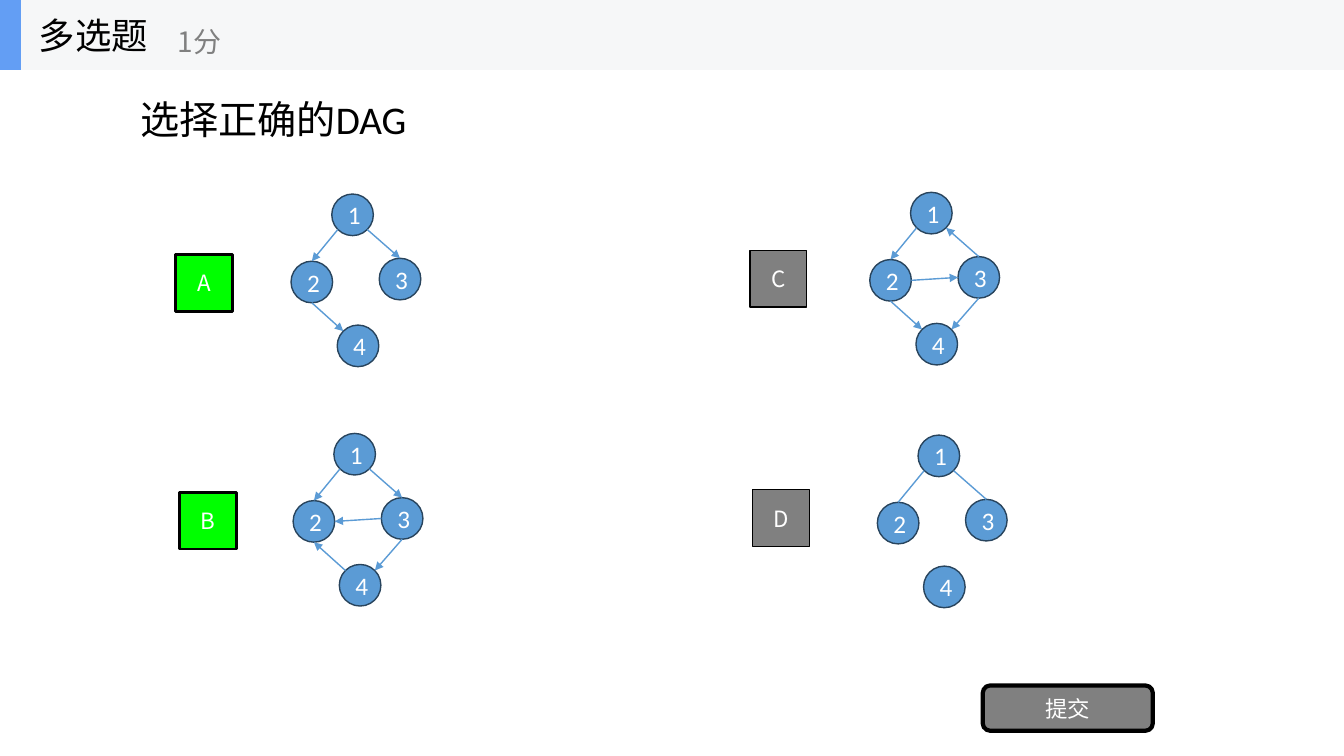
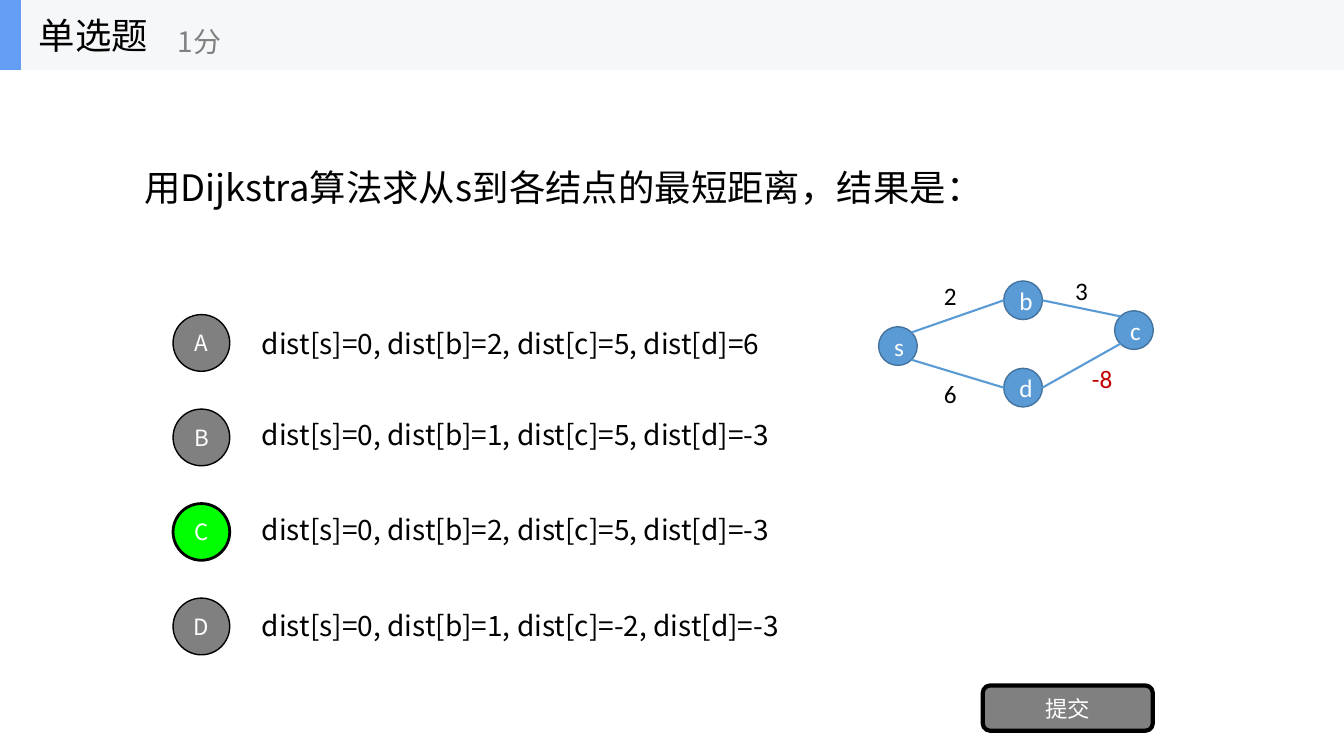
from lxml.etree import SubElement
from pptx import Presentation
from pptx.dml.color import RGBColor
from pptx.enum.shapes import MSO_CONNECTOR as Link, MSO_SHAPE as Shape
from pptx.enum.text import MSO_ANCHOR as Anchor, MSO_AUTO_SIZE as AutoSize, PP_ALIGN as Align
from pptx.oxml.ns import qn
from pptx.util import Inches, Pt

SANS, LATIN = "Noto Sans CJK SC", "Calibri"
BLACK, WHITE, GREY, GREEN, RED = "000000", "FFFFFF", "808080", "00FF00", "C00000"
BLUE, BAND, ACCENT = "5B9BD5", "F6F7F8", "639EF4"
BADGE, BAND_ROWS = 6.75, 8.33

deck = Presentation()
deck.slide_height = Inches(7.5)
cell = deck.slide_height / 90
deck.slide_width = int(cell * 160)
layout = deck.slide_layouts[5]


def ink(target, colour):
    if hasattr(target, "solid"):
        target.solid()
        target = target.fore_color
    target.rgb = RGBColor.from_string(colour)


def place(slide, kind, box, text="", size=16, colour=WHITE, font=SANS,
          fill=None, outline=None, weight=1, anchor=Anchor.MIDDLE, wrap=True):
    left, top, width, height = (int(cell * n) for n in box)
    if kind == "title":
        part = slide.shapes.title
        part.left, part.top, part.width, part.height = left, top, width, height
    elif kind == "text":
        part = slide.shapes.add_textbox(left, top, width, height)
    else:
        part = slide.shapes.add_shape(kind, left, top, width, height)
        part.shadow.inherit = False
        ink(part.fill, fill)
        if outline:
            ink(part.line.color, outline)
            part.line.width = Pt(weight)
        else:
            part.line.fill.background()
    if text:
        frame = part.text_frame
        frame.text = text
        frame.auto_size = AutoSize.NONE
        frame.word_wrap = wrap
        frame.vertical_anchor = anchor
        paragraph = frame.paragraphs[0]
        paragraph.alignment = Align.CENTER if fill else Align.LEFT
        paragraph.line_spacing = 1.0
        run = paragraph.runs[0]
        run.font.size = Pt(size)
        run.font.name = font
        ink(run.font.color, colour)
        SubElement(run.font._element, qn("a:ea"), typeface=SANS)
    return part


slides = []
for heading in ("多选题", "单选题"):
    slide = deck.slides.add_slide(layout)
    slides.append(slide)
    place(slide, "title", (3.4, 0, 25, BAND_ROWS), heading, 26, BLACK, wrap=False)
    place(slide, "text", (20, 1.5, 30, 6.75), "1分", 20, GREY, wrap=False)
    place(slide, Shape.ROUNDED_RECTANGLE, (117, 81.6, 20.25, 5.4), "提交",
          fill=GREY, outline=BLACK, weight=3)
multiple, single = slides

for depth, (columns, colour) in enumerate(((160, BAND), (2.5, ACCENT)), start=2):
    strip = place(multiple, Shape.RECTANGLE, (0, 0, columns, BAND_ROWS), fill=colour)
    layout.shapes._spTree.insert(depth, strip._element)

place(multiple, "text", (15.5, 10.8, 34.4, 6.8), "选择正确的DAG", 28, BLACK, LATIN,
      anchor=Anchor.TOP)
place(single, "text", (16, 8.3, 128, 28), "用Dijkstra算法求从s到各结点的最短距离，结果是：", 26, BLACK)

answers = [
    ("A", 36.7, "dist[s]=0, dist[b]=2, dist[c]=5, dist[d]=6"),
    ("B", 47.5, "dist[s]=0, dist[b]=1, dist[c]=5, dist[d]=-3"),
    ("C", 58.8, "dist[s]=0, dist[b]=2, dist[c]=5, dist[d]=-3"),
    ("D", 70.3, "dist[s]=0, dist[b]=1, dist[c]=-2, dist[d]=-3"),
]
badges = [
    (multiple, Shape.RECTANGLE, "A", 20.9, 30.3, True),
    (multiple, Shape.RECTANGLE, "B", 21.4, 58.6, True),
    (multiple, Shape.RECTANGLE, "C", 89.3, 29.8, False),
    (multiple, Shape.RECTANGLE, "D", 89.6, 58.3, False),
]
for row, (letter, top, distances) in enumerate(answers):
    place(single, "text", (30, top, 68.5, 8.4), distances, 20, BLACK)
    badges.append((single, Shape.OVAL, letter, 20.6, 37.45 + row * 11.25, letter == "C"))
for slide, kind, letter, left, top, correct in badges:
    place(slide, kind, (left, top, BADGE, BADGE), letter, fill=GREEN if correct else GREY,
          outline=BLACK, weight=2 if correct else 1)

rim = {"T": (0, -1), "B": (0, 1), "L": (-1, 0), "R": (1, 0),
       "TL": (-0.71, -0.71), "TR": (0.71, -0.71), "BL": (-0.71, 0.71), "BR": (0.71, 0.71)}
ports = {"12": ("BL", "T"), "13": ("BR", "T"), "23": ("R", "L"), "24": ("B", "TL"),
         "34": ("B", "TR"), "sb": ("TR", "L"), "sd": ("BR", "L"),
         "bc": ("R", "TL"), "dc": ("R", "BL")}
ports.update({pair[::-1]: ends[::-1] for pair, ends in ports.items()})

diamond = {"1": (0, 0), "2": (-4.85, 8), "3": (5.65, 7.65), "4": (0.65, 15.6)}
network = {"s": (0, 0), "b": (14.9, -5.45), "d": (14.9, 4.95), "c": (28.1, -1.9)}
dag_style = (multiple, diamond, 4.95, "28445D", 1)
graphs = [
    (dag_style, 39.5, 23.1, "12 13 24", True),
    (dag_style, 39.75, 51.6, "12 13 34 32 42", True),
    (dag_style, 108.4, 22.9, "12 31 24 34 23", True),
    (dag_style, 109.3, 51.8, "12 13", False),
    ((single, network, 4.6, "43739E", 1.5), 104.6, 38.9, "sb sd bc dc", False),
]
for (slide, nodes, diameter, outline, weight), left, top, edges, directed in graphs:
    for name, (dx, dy) in nodes.items():
        place(slide, Shape.OVAL, (left + dx, top + dy, diameter, diameter), name, 18,
              font=LATIN, fill=BLUE, outline=outline)
    radius = diameter / 2
    for edge in edges.split():
        ends = []
        for name, port in zip(edge, ports[edge]):
            for origin, offset, reach in zip((left, top), nodes[name], rim[port]):
                ends.append(int(cell * (origin + offset + radius * (1 + reach))))
        link = slide.shapes.add_connector(Link.STRAIGHT, *ends)
        ink(link.line.color, BLUE)
        link.line.width = Pt(weight)
        properties = link._element.spPr
        if directed:
            SubElement(properties.find(qn("a:ln")), qn("a:tailEnd"), type="triangle")
        SubElement(properties, qn("a:effectLst"))

weights = [("2", 111.2, 32.8, BLACK), ("3", 126.8, 32.2, BLACK),
           ("6", 111.2, 44.5, BLACK), ("-8", 128.8, 42.7, RED)]
for value, left, top, colour in weights:
    place(single, "text", (left, top, 3 + len(value), 4.8), value, 18, colour, LATIN,
          anchor=Anchor.TOP, wrap=False)

deck.save("out.pptx")
